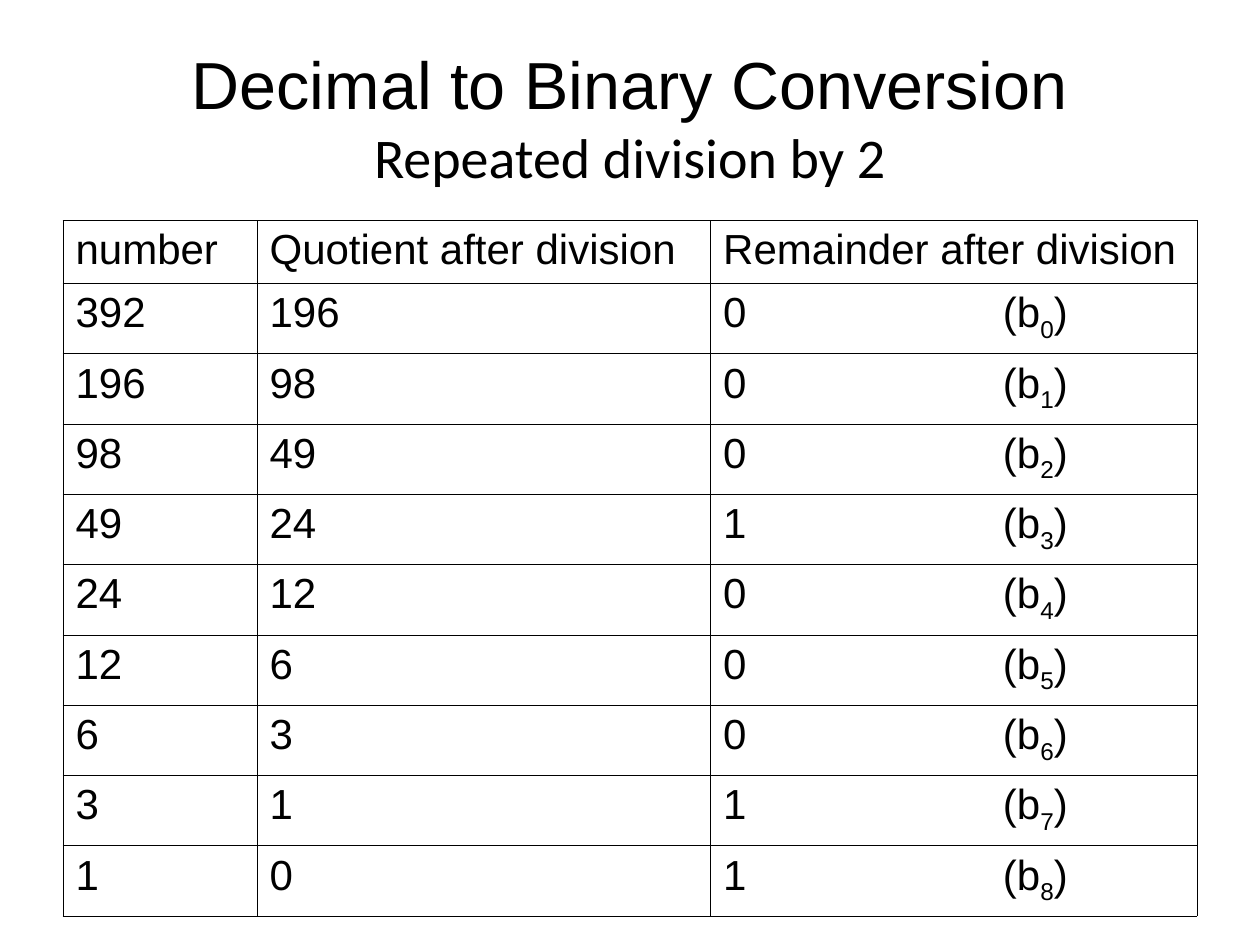
import copy
from dataclasses import dataclass

import pptx
import pptx.dml.color
import pptx.enum.text
import pptx.oxml
import pptx.oxml.ns
import pptx.util

ALIGN = pptx.enum.text.PP_ALIGN
ANCHOR = pptx.enum.text.MSO_ANCHOR
COLUMNS, ROWS = 100, 75


@dataclass(frozen=True)
class Theme:
    ink: str = "000000"
    body_font: str = "Arial"
    subtitle_font: str = "Calibri"
    title_size: float = 38
    subtitle_size: float = 32
    cell_size: float = 24
    border_width: float = 0.45


def add_text(p, text, *, font, size, color, baseline=None):
    """Append a formatted run; baseline is a percentage, negative for subscript."""
    r = p.add_run()
    r.text = text
    r.font.name = font
    r.font.size = pptx.util.Pt(size)
    r.font.color.rgb = pptx.dml.color.RGBColor.from_string(color)
    if baseline is not None:
        r.font._element.set("baseline", str(baseline * 1000))
    return r


class SlideBuilder:
    """Draws on one slide; lengths are columns and rows of a 100 by 75 grid."""

    def __init__(self, prs, theme):
        self.theme = theme
        self.col = prs.slide_width / COLUMNS
        self.row = prs.slide_height / ROWS
        self.slide = prs.slides.add_slide(prs.slide_layouts[5])

    def box(self, x, y, w, h):
        return [round(v) for v in
                (x * self.col, y * self.row, w * self.col, h * self.row)]

    def title(self, text, subtitle, x, y, w, h):
        t = self.theme
        sp = self.slide.shapes.title
        sp.left, sp.top, sp.width, sp.height = self.box(x, y, w, h)
        tf = sp.text_frame
        tf.auto_size = pptx.enum.text.MSO_AUTO_SIZE.NONE
        tf.vertical_anchor = ANCHOR.MIDDLE
        p = tf.paragraphs[0]
        p.alignment = ALIGN.CENTER
        r = add_text(p, text, font=t.body_font, size=t.title_size, color=t.ink)
        p.add_line_break()
        # The break takes the title's size, so it does not stretch the line.
        p._p[-1].insert(0, copy.deepcopy(r.font._element))
        add_text(p, subtitle, font=t.subtitle_font, size=t.subtitle_size,
                 color=t.ink)

    def table(self, data, x, y, widths, heights, tab):
        """Each cell is a list of (text, baseline) pairs."""
        frame = self.slide.shapes.add_table(
            len(heights), len(widths), *self.box(x, y, sum(widths), sum(heights)))
        table = frame.table
        table.first_row = table.horz_banding = False
        for column, width in zip(table.columns, widths):
            column.width = round(width * self.col)
        for row, height, contents in zip(table.rows, heights, data):
            row.height = round(height * self.row)
            for cell, parts in zip(row.cells, contents):
                self.cell(cell, parts, tab)

    def cell(self, cell, parts, tab):
        t = self.theme
        self.border(cell)
        cell.fill.background()
        p = cell.text_frame.paragraphs[0]
        p.alignment = ALIGN.JUSTIFY
        if any("\t" in text for text, _ in parts):
            p._p.get_or_add_pPr().append(pptx.oxml.parse_xml(
                f'<a:tabLst {pptx.oxml.ns.nsdecls("a")}>'
                f'<a:tab pos="{round(tab * self.col)}" algn="l"/></a:tabLst>'))
        for text, baseline in parts:
            add_text(p, text, font=t.body_font, size=t.cell_size,
                     color=t.ink, baseline=baseline)

    def border(self, cell):
        width = pptx.util.Pt(self.theme.border_width)
        tcPr = cell._tc.get_or_add_tcPr()
        for side in "LRTB":
            tcPr.append(pptx.oxml.parse_xml(
                f'<a:ln{side} {pptx.oxml.ns.nsdecls("a")} w="{width}">'
                f'<a:solidFill><a:srgbClr val="{self.theme.ink}"/></a:solidFill>'
                f'</a:ln{side}>'))


def division_steps(number):
    """Table rows for dividing by 2 until the quotient is 0."""
    steps = []
    while number:
        quotient, remainder = divmod(number, 2)
        steps.append([
            [(str(number), None)],
            [(str(quotient), None)],
            [(f"{remainder}\t(b", None), (str(len(steps)), -25), (")", None)],
        ])
        number = quotient
    return steps


def main():
    prs = pptx.Presentation()
    prs.slide_width = pptx.util.Inches(10)
    prs.slide_height = pptx.util.Inches(7.5)

    header = ["number", "Quotient after division", "Remainder after division"]
    steps = division_steps(392)

    s = SlideBuilder(prs, Theme())
    s.title("Decimal to Binary Conversion", "Repeated division by 2",
            5, 3, 90, 12.5)
    s.table([[[(text, None)] for text in header]] + steps, 5, 17.5,
            widths=[15.4, 36, 38.6], heights=[5] + [5.58] * len(steps), tab=22.2)
    prs.save("out.pptx")


if __name__ == "__main__":
    main()
